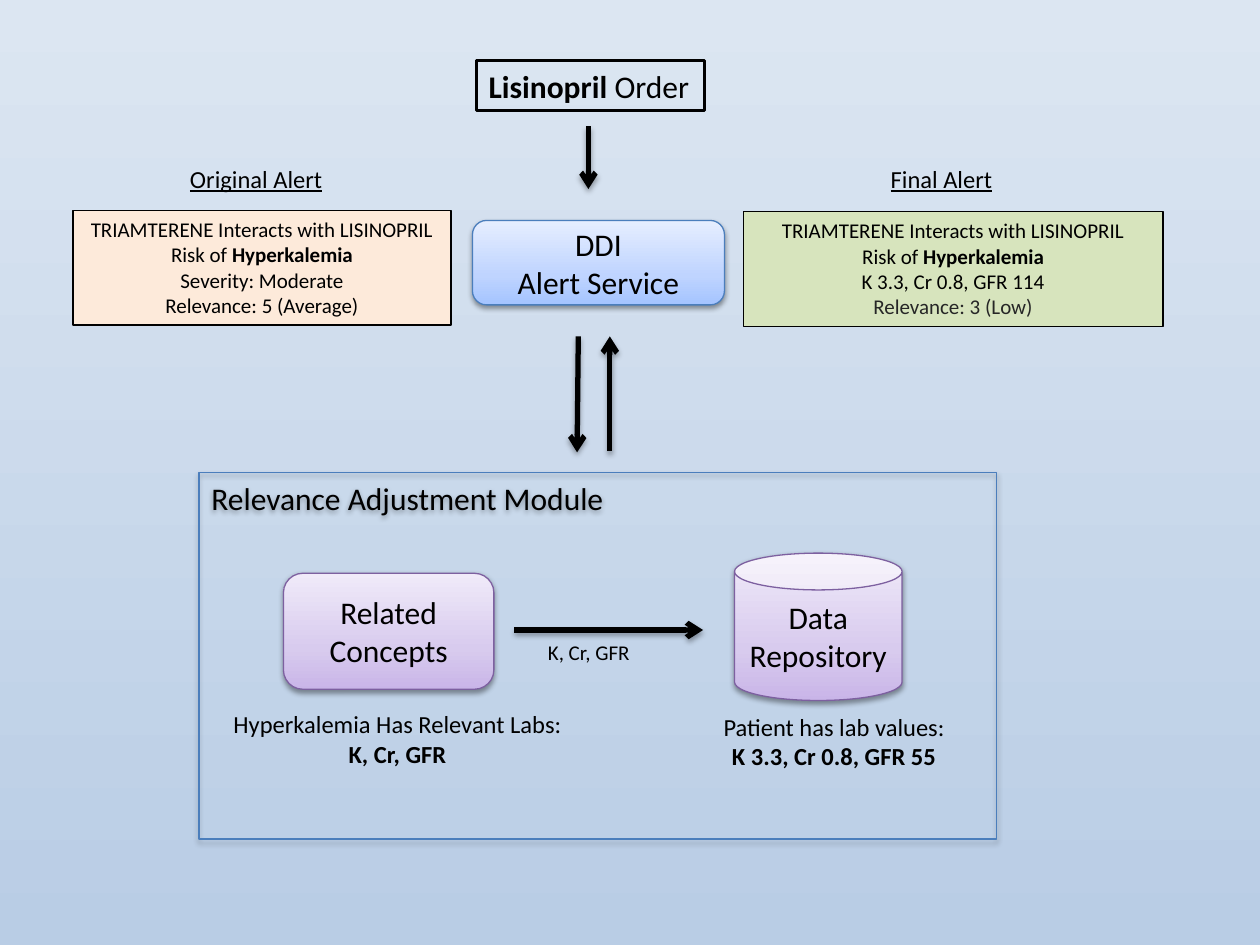
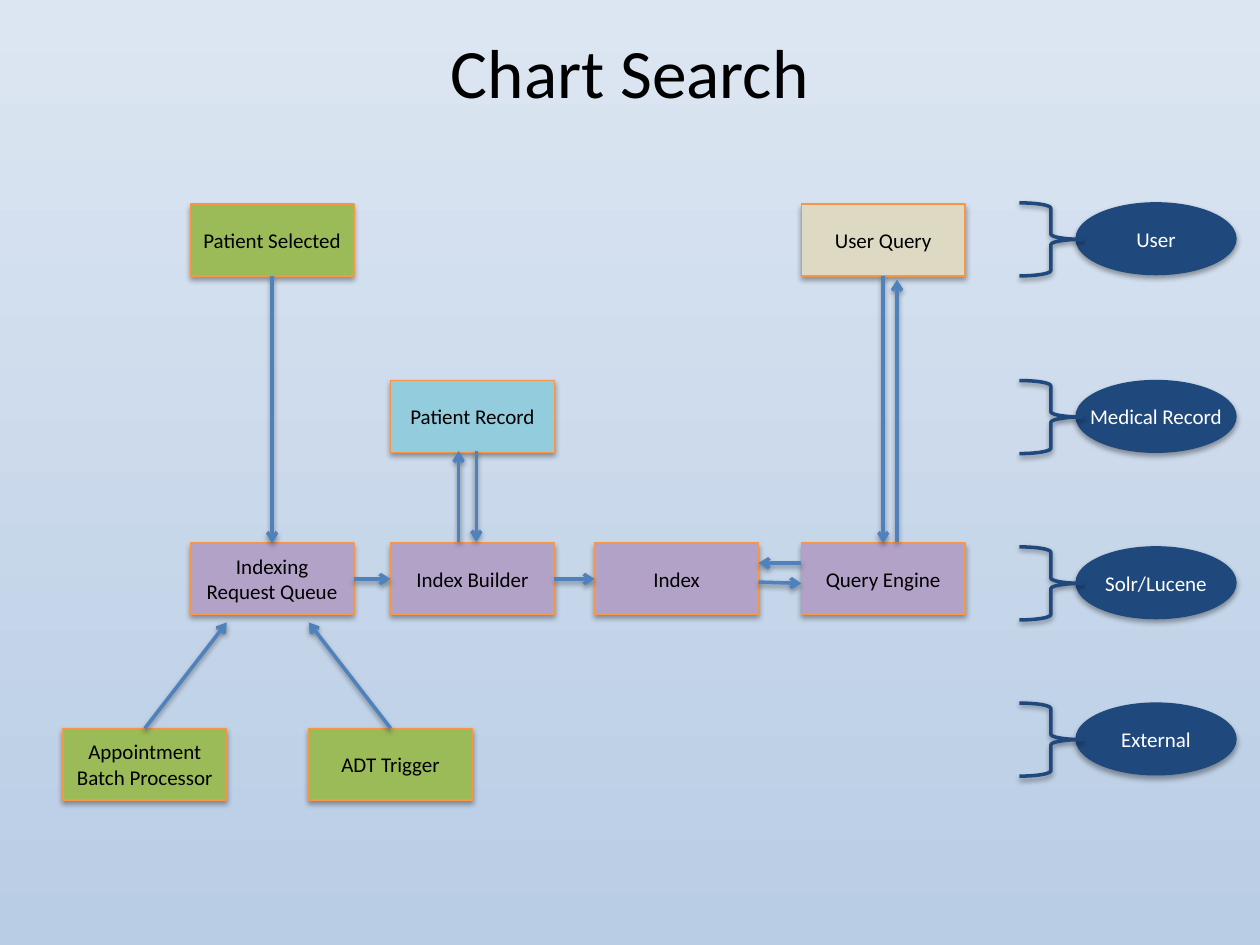
from copy import deepcopy

from lxml.etree import SubElement
from pptx import Presentation
from pptx.dml.color import RGBColor
from pptx.enum.shapes import MSO_CONNECTOR, MSO_SHAPE
from pptx.enum.text import MSO_ANCHOR, PP_ALIGN
from pptx.oxml.ns import qn
from pptx.util import Inches, Pt

FONT = "Calibri"
BLACK = RGBColor(0, 0, 0)
WHITE = RGBColor(255, 255, 255)
GRAY = RGBColor(0x26, 0x26, 0x26)
PEACH = RGBColor(0xFD, 0xEA, 0xDA)
LIME = RGBColor(0xD7, 0xE4, 0xBD)
BLUE = RGBColor(0x4B, 0x7E, 0xBC)
STEEL = RGBColor(0x4F, 0x81, 0xBD)
NAVY = RGBColor(0x1F, 0x49, 0x7D)
VIOLET = RGBColor(0x7D, 0x60, 0xA0)
ORANGE = RGBColor(0xF7, 0x96, 0x46)
GREEN = RGBColor(0x9B, 0xBB, 0x59)
PURPLE = RGBColor(0xB3, 0xA2, 0xC7)
TAN = RGBColor(0xDD, 0xD9, 0xC3)
AQUA = RGBColor(0x93, 0xCD, 0xDD)
SKY = [(0, RGBColor(0xDC, 0xE6, 0xF2)), (1, RGBColor(0xB9, 0xCD, 0xE5))]
ICE = [(0, RGBColor(0xA4, 0xC4, 0xFF)), (0.35, RGBColor(0xBF, 0xD4, 0xFF)),
       (1, RGBColor(0xE6, 0xEE, 0xFF))]
LILAC = [(0, RGBColor(0xC9, 0xB5, 0xE8)), (0.35, RGBColor(0xD8, 0xCB, 0xEE)),
         (1, RGBColor(0xF0, 0xEA, 0xF9))]
# Shadows: opacity in percent, distance in points
SOFT = (38, 1.6)
DEEP = (35, 1.8)

# Text is a list of paragraphs; words between bars are bold.
RECT, ROUND = MSO_SHAPE.RECTANGLE, MSO_SHAPE.ROUNDED_RECTANGLE
ALERT = dict(line=BLACK, size=12, anchor=MSO_ANCHOR.TOP)
NODE = dict(shadow=SOFT, size=18)
PARTS = [
    (ROUND, (3.75, 1.75, 2, 0.67), ["DDI", "Alert Service"],
     dict(NODE, fill=ICE, line=BLUE)),
    (RECT, (0.58, 1.67, 3, 0.91),
     ["TRIAMTERENE Interacts with LISINOPRIL", "Risk of |Hyperkalemia|",
      "Severity: Moderate", "Relevance: 5 (Average)"],
     dict(ALERT, fill=PEACH)),
    (RECT, (5.9, 1.68, 3.33, 0.91),
     ["TRIAMTERENE Interacts with LISINOPRIL", "Risk of |Hyperkalemia|",
      "K 3.3, Cr 0.8, GFR 114", "Relevance: 3 (Low)"],
     dict(ALERT, fill=LIME, last=GRAY)),
    (RECT, (3.78, 0.48, 1.81, 0.4), ["|Lisinopril |Order"],
     dict(line=BLACK, width=1.5, size=18, wrap=False, align=PP_ALIGN.LEFT)),
    (ROUND, (2.25, 4.55, 1.67, 0.92), ["Related Concepts"],
     dict(NODE, fill=LILAC, line=VIOLET)),
    (MSO_SHAPE.CAN, (5.83, 4.39, 1.33, 1.17), ["Data", "Repository"],
     dict(NODE, fill=LILAC, line=VIOLET)),
    (RECT, (1.58, 3.75, 6.33, 2.91), ["Relevance Adjustment Module"],
     dict(line=BLUE, shadow=DEEP, size=18, align=PP_ALIGN.LEFT,
          anchor=MSO_ANCHOR.TOP)),
]
HEAD = dict(size=14, under=True, wrap=False, align=PP_ALIGN.LEFT)
LABELS = [
    ((1.41, 1.25, 1.26, 0.34), ["Original Alert"], HEAD),
    ((6.97, 1.25, 1.01, 0.34), ["Final Alert"], HEAD),
    ((1.7, 5.58, 2.91, 0.81),
     ["Hyperkalemia Has Relevant Labs:", "|K, Cr, GFR|"], dict(size=14)),
    ((5.41, 5.6, 2.42, 0.57),
     ["Patient has lab values:", "|K 3.3, Cr 0.8, GFR 55|"], dict(size=14)),
    ((4.25, 5.03, 0.88, 0.3), ["K, Cr, GFR"],
     dict(size=12, wrap=False, align=PP_ALIGN.LEFT)),
]
FLOWS = [
    ((4.67, 1), (4.67, 1.5)),
    ((4.59, 2.67), (4.58, 3.59)),
    ((4.84, 3.58), (4.84, 2.67)),
    ((4.08, 5), (5.58, 5)),
]

TITLE = "Chart Search"
BOX = (1.3, 0.57)
BOXES = [
    ("Patient Selected", 1.51, 1.62, GREEN),
    ("User Query", 6.36, 1.62, TAN),
    ("Patient Record", 3.1, 3.02, AQUA),
    ("Indexing Request Queue", 1.51, 4.31, PURPLE),
    ("Index Builder", 3.1, 4.31, PURPLE),
    ("Index", 4.72, 4.31, PURPLE),
    ("Query Engine", 6.36, 4.31, PURPLE),
    ("Appointment Batch Processor", 0.5, 5.78, GREEN),
    ("ADT Trigger", 2.45, 5.78, GREEN),
]
LAYERS = [("User", 1.61), ("Medical Record", 3.02),
          ("Solr/Lucene", 4.34), ("External", 5.58)]
# An end is a point, or a box name with the side it joins
TOP, LEFT, BOTTOM, RIGHT = range(4)
LINKS = [
    (("Patient Selected", BOTTOM), ("Indexing Request Queue", TOP)),
    (("User Query", BOTTOM), ("Query Engine", TOP)),
    ((7.12, 4.3), (7.12, 2.22)),
    (("Appointment Batch Processor", TOP), (1.8, 4.94)),
    (("ADT Trigger", TOP), (2.45, 4.94)),
    (("Indexing Request Queue", RIGHT), ("Index Builder", LEFT)),
    (("Index Builder", RIGHT), ("Index", LEFT)),
    ((3.78, 3.58), (3.78, 4.3)),
    ((3.64, 4.3), (3.64, 3.58)),
    ((6.02, 4.62), (6.36, 4.63)),
    ((6.36, 4.47), (6.02, 4.47)),
]


def shade(fill, stops, angle, root):
    """Give a fill a gradient; root is the element that holds it."""
    fill.gradient()
    fill.gradient_angle = angle
    marks = next(root.iter(qn("a:gsLst")))
    while len(marks) < len(stops):
        marks.append(deepcopy(marks[0]))
    for mark, (pos, color) in zip(fill.gradient_stops, stops):
        mark.position = pos
        mark.color.rgb = color


def cast(props, shadow):
    """Set the shadow in shape properties; None leaves it off."""
    effects = props.find(qn("a:effectLst"))
    if effects is None:
        effects = SubElement(props, qn("a:effectLst"))
    if shadow:
        alpha, dist = shadow
        outer = SubElement(effects, qn("a:outerShdw"), blurRad=str(Pt(3.1)),
                           dist=str(Pt(dist)), dir="5400000", rotWithShape="0")
        color = SubElement(outer, qn("a:srgbClr"), val=str(BLACK))
        SubElement(color, qn("a:alpha"), val=str(alpha * 1000))


def write(shape, text, size, color=BLACK, align=PP_ALIGN.CENTER,
          anchor=MSO_ANCHOR.MIDDLE, wrap=True, under=None, last=None):
    frame = shape.text_frame
    frame.word_wrap = wrap
    frame.vertical_anchor = anchor
    for num, words in enumerate(text):
        para = frame.add_paragraph() if num else frame.paragraphs[0]
        para.alignment = align
        for odd, part in enumerate(words.split("|")):
            if not part:
                continue
            run = para.add_run()
            run.text = part
            look = dict(name=FONT, size=Pt(size), bold=odd % 2 == 1,
                        underline=under)
            for key, value in look.items():
                setattr(run.font, key, value)
            run.font.color.rgb = color
    if last:
        run.font.color.rgb = last


def draw(slide, kind, place, text, line, fill=None, width=0.75, shadow=None,
         **style):
    shape = slide.shapes.add_shape(kind, *map(Inches, place))
    if isinstance(fill, list):
        shade(shape.fill, fill, 90, shape.element)
    elif fill:
        shape.fill.solid()
        shape.fill.fore_color.rgb = fill
    else:
        shape.fill.background()
    shape.line.color.rgb = line
    shape.line.width = Pt(width)
    shape.shadow.inherit = False
    cast(shape.element.spPr, shadow)
    if text:
        write(shape, text, **style)
    return shape


def label(slide, place, text, style):
    box = slide.shapes.add_textbox(*map(Inches, place))
    write(box, text, **{"anchor": MSO_ANCHOR.TOP, **style})


def arrow(slide, ends, color, width, shadow, boxes=None):
    spots = [(0, 0) if isinstance(end[0], str) else end for end in ends]
    link = slide.shapes.add_connector(
        MSO_CONNECTOR.STRAIGHT, *(Inches(v) for spot in spots for v in spot))
    for end, join in zip(ends, (link.begin_connect, link.end_connect)):
        if isinstance(end[0], str):
            join(boxes[end[0]], end[1])
    link.line.color.rgb = color
    link.line.width = Pt(width)
    props = link.element.spPr
    SubElement(props.find(qn("a:ln")), qn("a:tailEnd"), type="arrow")
    cast(props, shadow)


def page(deck):
    slide = deck.slides.add_slide(deck.slide_layouts[6])
    shade(slide.background.fill, SKY, 270, slide.element)
    return slide


def alerts(deck):
    slide = page(deck)
    for kind, place, text, style in PARTS:
        draw(slide, kind, place, text, **style)
    for place, text, style in LABELS:
        label(slide, place, text, style)
    for ends in FLOWS:
        arrow(slide, ends, BLACK, 3, DEEP)


def search(deck):
    slide = page(deck)
    label(slide, (0.5, 0.3, 9, 0.53), [TITLE],
          dict(size=39.6, anchor=MSO_ANCHOR.MIDDLE))
    boxes = {name: draw(slide, RECT, (x, y, *BOX), [name], ORANGE, fill,
                        shadow=DEEP, size=12)
             for name, x, y, fill in BOXES}
    for name, y in LAYERS:
        draw(slide, MSO_SHAPE.OVAL, (8.54, y, 1.27, 0.57), [name], NAVY, NAVY,
             shadow=DEEP, size=12, color=WHITE, wrap=False)
        draw(slide, MSO_SHAPE.RIGHT_BRACE, (8.09, y, 0.5, 0.58), [], NAVY,
             width=2, shadow=SOFT)
    for ends in LINKS:
        arrow(slide, ends, STEEL, 2, SOFT, boxes)


def main():
    deck = Presentation()
    deck.slide_width, deck.slide_height = Inches(10), Inches(7.5)
    alerts(deck)
    search(deck)
    deck.save("out.pptx")


if __name__ == "__main__":
    main()
